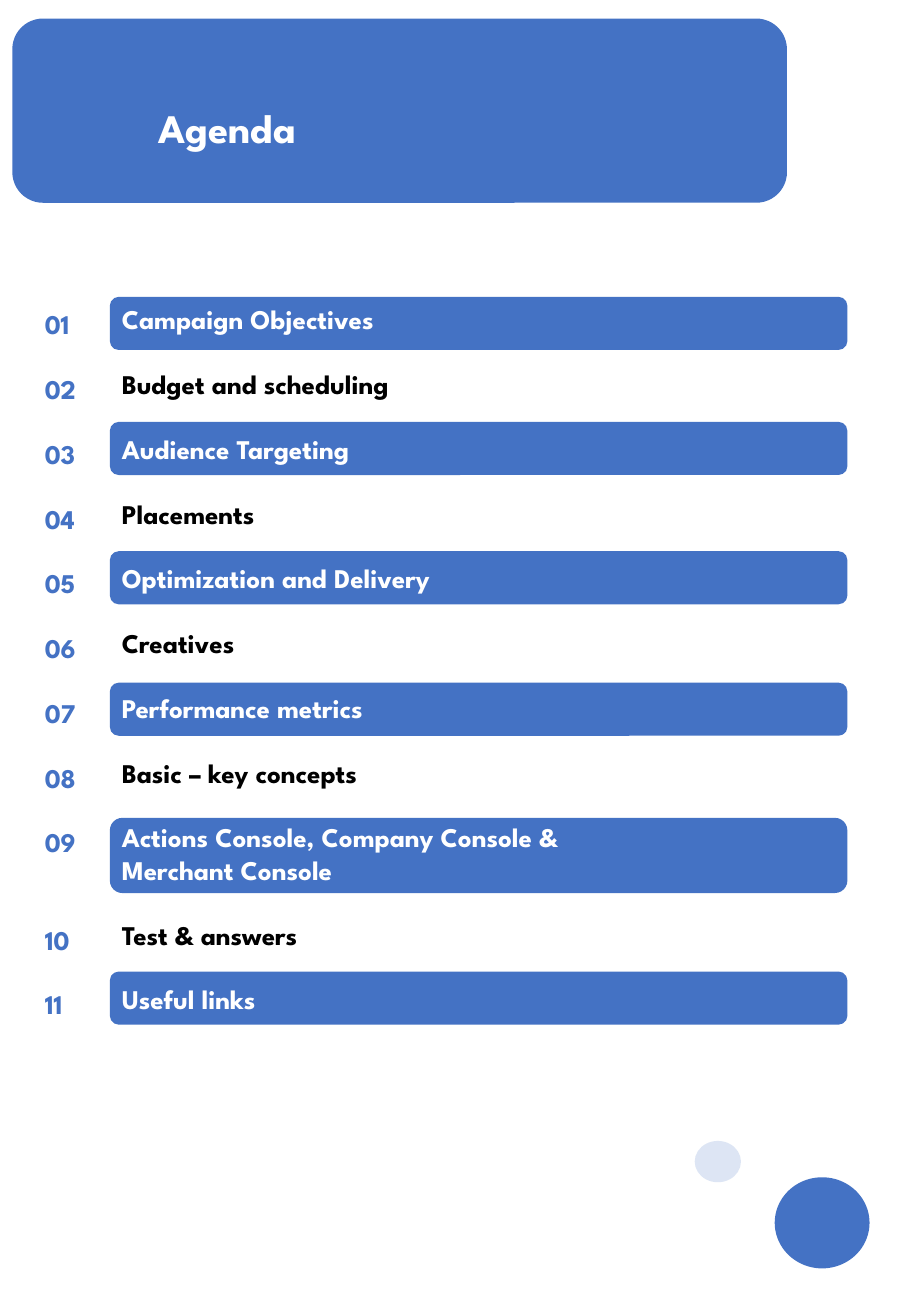
from dataclasses import dataclass

from lxml import etree
from pptx import Presentation
from pptx.dml.color import RGBColor
from pptx.enum import shapes, text
from pptx.oxml import ns
from pptx.util import Pt


@dataclass(frozen=True)
class Theme:
    font: str = "League Spartan"
    blue: str = "4472C4"
    pale: str = "B4C7E7"
    light: str = "FFFFFF"
    dark: str = "000000"
    title_size: float = 24
    item_size: float = 16
    line: float = 19.2  # height of one agenda line


class AgendaSlide:
    def __init__(self, prs, theme):
        self.theme = theme
        self.slide = prs.slides.add_slide(prs.slide_layouts[5])

    def shape(self, kind, box, color, opacity=None):
        sp = self.slide.shapes.add_shape(kind, *map(Pt, box))
        sp.shadow.inherit = False
        sp.fill.solid()
        sp.fill.fore_color.rgb = RGBColor.from_string(color)
        sp.line.fill.background()
        if opacity is not None:
            clr = sp.element.spPr.find(".//" + ns.qn("a:srgbClr"))
            etree.SubElement(clr, ns.qn("a:alpha"), val=str(opacity * 1000))

    def style(self, p, size, color):
        p.alignment = text.PP_ALIGN.LEFT
        p.font.name = self.theme.font
        p.font.size = Pt(size)
        p.font.bold = True
        p.font.color.rgb = RGBColor.from_string(color)

    def title(self, words, box):
        sp = self.slide.shapes.title
        sp.left, sp.top, sp.width, sp.height = map(Pt, box)
        sp.element.getparent().append(sp.element)  # in front of the banner
        tf = sp.text_frame
        tf.text = words
        tf.auto_size = text.MSO_AUTO_SIZE.NONE
        tf.vertical_anchor = text.MSO_ANCHOR.TOP
        self.style(tf.paragraphs[0], self.theme.title_size, self.theme.light)

    def column(self, rows, box):
        """Rows are (words, colour, blank lines after)."""
        tf = self.slide.shapes.add_textbox(*map(Pt, box)).text_frame
        tf.word_wrap = True
        for i, (words, color, gap) in enumerate(rows):
            p = tf.add_paragraph() if i else tf.paragraphs[0]
            p.text = words
            p.space_after = Pt(gap * self.theme.line)
            self.style(p, self.theme.item_size, color)


ITEMS = [
    "Campaign Objectives",
    "Budget and scheduling",
    "Audience Targeting",
    "Placements",
    "Optimization and Delivery",
    "Creatives",
    "Performance metrics",
    "Basic – key concepts",
    "Actions Console, Company Console & Merchant Console",
    "Test & answers",
    "Useful links",
]
TWO_LINE_ITEM = 9
# Top and height of the bar behind every other item
BARS = [(175.9, 31.5), (250, 31.5), (326.6, 31.5),
        (404.5, 31.5), (484.6, 44.6), (575.7, 31.5)]


def main():
    prs = Presentation()
    prs.slide_width, prs.slide_height = Pt(540), Pt(779.8)
    theme = Theme()
    s = AgendaSlide(prs, theme)
    rounded = shapes.MSO_SHAPE.ROUNDED_RECTANGLE
    oval = shapes.MSO_SHAPE.OVAL

    # Bars behind the odd items
    for top, height in BARS:
        s.shape(rounded, (65.1, top, 437.2, height), theme.blue)

    # Agenda items and their numbers
    s.column([(item, theme.dark if i % 2 else theme.light, 1)
              for i, item in enumerate(ITEMS)], (65.1, 175.9, 325.4, 433.4))
    s.column([(f"{n:02d}", theme.blue, 2 if n == TWO_LINE_ITEM else 1)
              for n in range(1, len(ITEMS) + 1)], (19.5, 178.9, 67.7, 482.4))

    # Corner circles
    s.shape(oval, (459.2, 697.6, 56.2, 54), theme.blue)
    s.shape(oval, (411.8, 676.1, 27.4, 24.5), theme.pale, opacity=45)

    # Banner and title
    s.shape(rounded, (7.3, 11, 459.2, 109.2), theme.blue)
    s.title("Agenda", (86.7, 57.6, 277.2, 36))

    prs.save("out.pptx")


if __name__ == "__main__":
    main()
